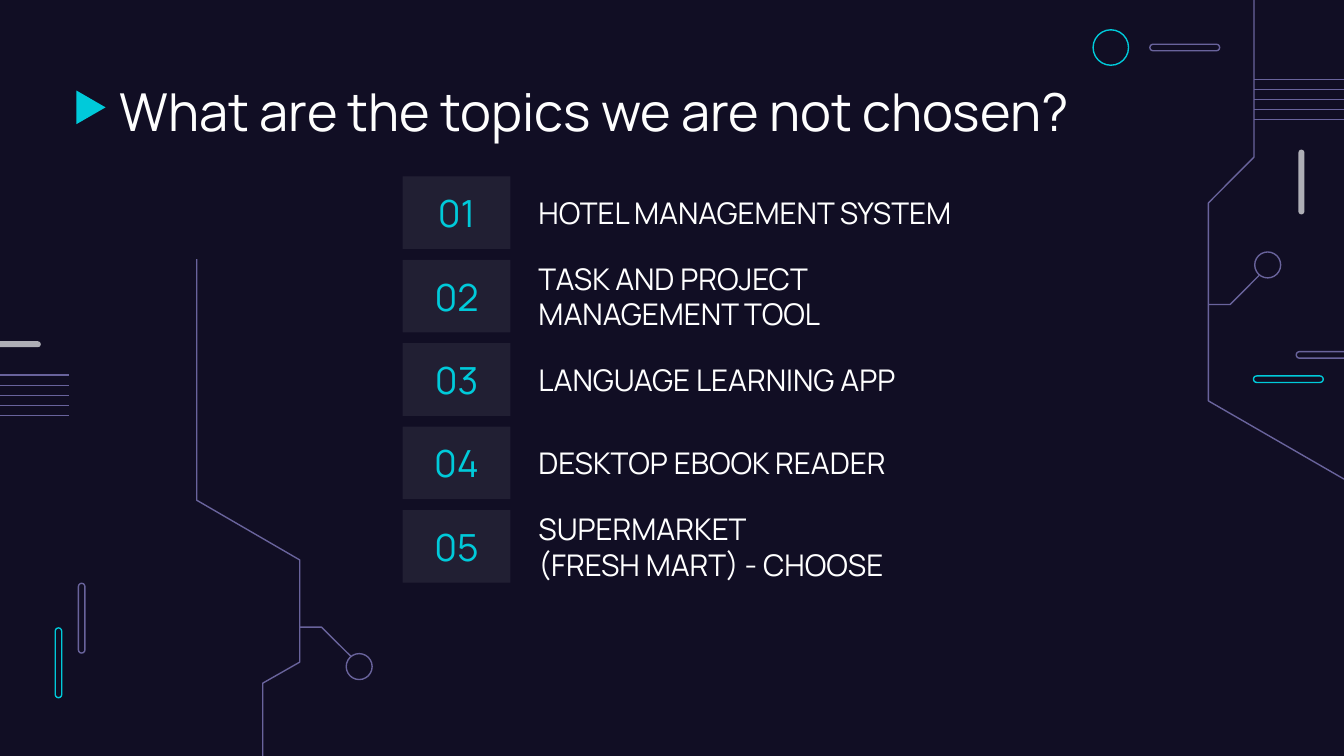
from pptx import Presentation
from pptx.dml.color import RGBColor
from pptx.enum.shapes import MSO_CONNECTOR, MSO_SHAPE
from pptx.enum.text import MSO_ANCHOR, MSO_AUTO_SIZE, PP_ALIGN
from pptx.oxml.ns import qn
from pptx.util import Pt
from lxml.etree import SubElement

NIGHT, CYAN, MAUVE = "110E24", "00CADA", "69639C"
WHITE, GREY = "FFFFFF", "AFAFB6"


def hue(code):
    return RGBColor.from_string(code)


def write(shape, text, size=16, color=WHITE, align=PP_ALIGN.LEFT, anchor=MSO_ANCHOR.MIDDLE):
    frame = shape.text_frame
    frame.text = text
    frame.word_wrap = True
    frame.auto_size = MSO_AUTO_SIZE.NONE
    frame.vertical_anchor = anchor
    frame.margin_left = frame.margin_right = Pt(7.2)
    frame.margin_top = frame.margin_bottom = Pt(7.2)
    for para in frame.paragraphs:
        para.alignment = align
        para.line_spacing = 1
        para.space_before = Pt(0)
        font = para.runs[0].font
        font.name, font.size, font.bold = "Manrope", Pt(size), False
        font.color.rgb = hue(color)


class Deck:
    """Hold the style and the current slide."""

    def __init__(self, wide, high):
        self.file = Presentation()
        self.file.slide_width, self.file.slide_height = Pt(wide), Pt(high)
        self.slide = self.file.slides.add_slide(self.file.slide_layouts[5])
        self.slide.background.fill.solid()
        self.slide.background.fill.fore_color.rgb = hue(NIGHT)
        self.shapes = self.slide.shapes

    def paint(self, shape, fill=None, line=None, alpha=None):
        shape.shadow.inherit = False
        if fill:
            shape.fill.solid()
            shape.fill.fore_color.rgb = hue(fill)
        else:
            shape.fill.background()
        if line:
            shape.line.color.rgb = hue(line)
            shape.line.width = Pt(0.75)
        else:
            shape.line.fill.background()
        if alpha:
            color = shape.element.spPr.find(qn("a:solidFill")).find(qn("a:srgbClr"))
            SubElement(color, qn("a:alpha"), val=str(alpha * 1000))
        return shape

    def title(self, text, box):
        shape = self.shapes.title
        shape.left, shape.top, shape.width, shape.height = map(Pt, box)
        write(shape, text, size=28, color="FEFEFE", anchor=MSO_ANCHOR.TOP)

    def shape(self, kind, box, **style):
        return self.paint(self.shapes.add_shape(kind, *map(Pt, box)), **style)

    def pill(self, box, **style):
        self.shape(MSO_SHAPE.ROUNDED_RECTANGLE, box, **style).adjustments[0] = 0.5

    def ring(self, left, top, size, color):
        self.shape(MSO_SHAPE.OVAL, (left, top, size, size), line=color)

    def label(self, text, box, **style):
        write(self.shapes.add_textbox(*map(Pt, box)), text, **style)

    def trace(self, *points):
        spots = [(Pt(x), Pt(y)) for x, y in points]
        form = self.shapes.build_freeform(*spots[0], scale=1.0)
        form.add_line_segments(spots[1:], close=False)
        self.paint(form.convert_to_shape(), line=MAUVE)

    def lines(self, start, end, top, count=5, step=5.4):
        for row in range(count):
            y = Pt(top + row * step)
            line = self.shapes.add_connector(MSO_CONNECTOR.STRAIGHT, Pt(start), y, Pt(end), y)
            line.line.color.rgb = hue(MAUVE)
            line.line.width = Pt(0.75)
            SubElement(line.element.spPr, qn("a:effectLst"))


def main():
    deck = Deck(720, 405)
    long, thin = 37.4, 3.5
    for left, top, color in ((29.6, 336.4, CYAN), (42, 312.5, MAUVE)):
        deck.pill((left, top, thin, long), line=color)
    for left, top, color in ((671.5, 201.4, CYAN), (694.4, 188.4, MAUVE), (616, 23.7, MAUVE)):
        deck.pill((left, top, long, thin), line=color)
    deck.pill((695.6, 80.2, 3.2, 34.7), fill=GREY)
    deck.pill((-12.8, 182.8, 34.7, 3.2), fill=GREY)

    deck.ring(585.6, 16, 19, CYAN)
    deck.ring(672.2, 135, 13.9, MAUVE)
    deck.ring(185.5, 350.2, 13.9, MAUVE)
    deck.trace((674.6, 147.5), (659, 163.2), (647.4, 163.2))
    deck.trace((728.4, 261.5), (647.4, 214.8), (647.4, 108.7), (671.8, 84.2), (671.8, -4.3))
    deck.trace((188, 351.7), (172.2, 336), (160.6, 336))
    deck.trace((105.4, 138.8), (105.4, 268), (160.6, 300), (160.6, 354.7), (140.8, 366), (140.8, 411.3))
    deck.lines(671.8, 777.6, 42.5)
    deck.lines(-43.9, 37, 201)

    arrow = deck.shape(MSO_SHAPE.FLOWCHART_MERGE, (39.8, 49.7, 18, 15.6), fill=CYAN)
    arrow.rotation = 270
    deck.title("What are the topics we are not chosen?", (56.9, 35.3, 607, 45.4))

    topics = (
        "HOTEL MANAGEMENT SYSTEM",
        "TASK AND PROJECT MANAGEMENT TOOL",
        "LANGUAGE LEARNING APP",
        "DESKTOP EBOOK READER",
        "SUPERMARKET\n(FRESH MART) - CHOOSE",
    )
    for row, topic in enumerate(topics):
        top = 94.5 + row * 44.7
        tile = deck.shape(MSO_SHAPE.RECTANGLE, (215.7, top, 57.8, 38.9), fill=WHITE, alpha=7)
        write(tile, f"{row + 1:02}", size=20, color=CYAN, align=PP_ALIGN.CENTER)
        deck.label(topic, (281.4, top, 273 if row == 0 else 214, 38.9))
    deck.file.save("out.pptx")


if __name__ == "__main__":
    main()
